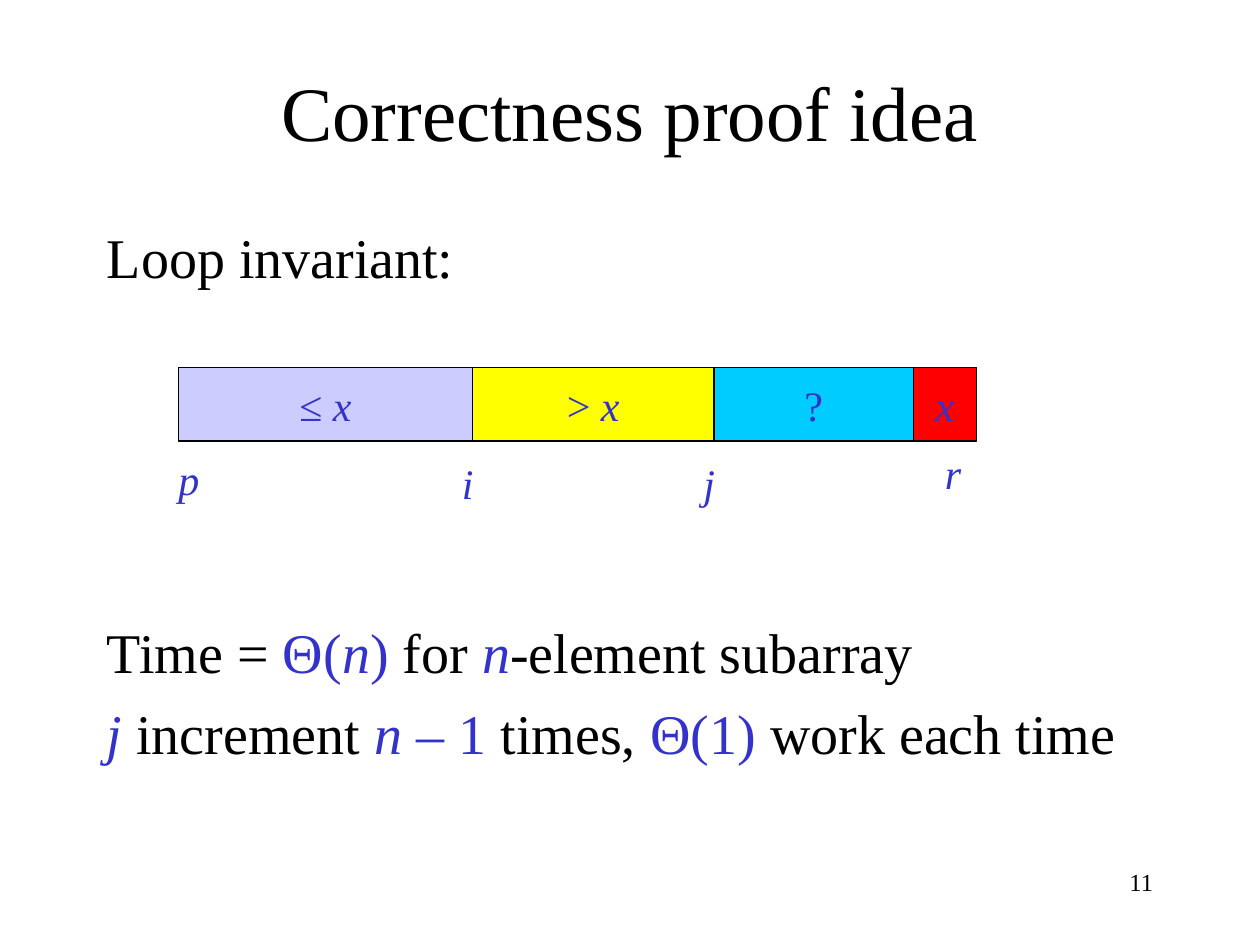
from dataclasses import dataclass

from pptx import Presentation
from pptx.dml.color import RGBColor
from pptx.enum.shapes import MSO_SHAPE
from pptx.enum.text import MSO_ANCHOR as Anchor, PP_ALIGN as Align
from pptx.util import Inches, Pt


@dataclass(frozen=True)
class Theme:
    font: str = "Times New Roman"
    ink: str = "000000"
    math: str = "3333CC"
    low: str = "CCCCFF"
    high: str = "FFFF00"
    unseen: str = "00CCFF"
    pivot: str = "FF0000"
    title_size: int = 44
    body_size: int = 32
    array_size: int = 24
    number_size: int = 14


# Span styles: plain text, upright mathematics, italic variable
PLAIN, MATH, VAR = "plain", "math", "var"


class SlideBuilder:
    """Places elements on a grid of 120 columns by 90 rows."""

    def __init__(self, deck, theme):
        self.theme = theme
        self.col = deck.slide_width / 120
        self.row = deck.slide_height / 90
        self.page = deck.slides.add_slide(deck.slide_layouts[5])

    def area(self, left, top, width, height):
        return (round(left * self.col), round(top * self.row),
                round(width * self.col), round(height * self.row))

    def add_spans(self, para, spans, size, align=Align.LEFT):
        para.alignment = align
        for text, style in spans:
            span = para.add_run()
            span.text = text
            font = span.font
            font.name, font.size = self.theme.font, Pt(size)
            font.italic = style == VAR
            color = self.theme.ink if style == PLAIN else self.theme.math
            font.color.rgb = RGBColor.from_string(color)

    def title(self, text, area):
        box = self.page.shapes.title
        box.left, box.top, box.width, box.height = self.area(*area)
        box.text_frame.vertical_anchor = Anchor.MIDDLE
        self.add_spans(box.text_frame.paragraphs[0], [(text, PLAIN)],
                       self.theme.title_size, Align.CENTER)

    def text(self, paragraphs, area, size, align=Align.LEFT, wrap=True, inset=0.05):
        """Each paragraph is a pair: points of space before, and spans."""
        box = self.page.shapes.add_textbox(*self.area(*area))
        frame = box.text_frame
        frame.word_wrap = wrap
        frame.margin_top = Inches(inset)
        for index, (space, spans) in enumerate(paragraphs):
            para = frame.add_paragraph() if index else frame.paragraphs[0]
            if index:
                para.space_before = Pt(space)
            self.add_spans(para, spans, size, align)

    def segment(self, spans, fill, area):
        box = self.page.shapes.add_shape(MSO_SHAPE.RECTANGLE, *self.area(*area))
        box.shadow.inherit = False
        box.fill.solid()
        box.fill.fore_color.rgb = RGBColor.from_string(fill)
        box.line.color.rgb = RGBColor.from_string(self.theme.ink)
        box.line.width = Pt(0.75)
        frame = box.text_frame
        frame.word_wrap = False
        frame.vertical_anchor = Anchor.MIDDLE
        self.add_spans(frame.paragraphs[0], spans, self.theme.array_size, Align.CENTER)

    def index_label(self, name, area):
        self.text([(0, [(name, VAR)])], area, self.theme.array_size, wrap=False)


def main():
    deck = Presentation()
    deck.slide_width, deck.slide_height = Inches(10), Inches(7.5)
    theme = Theme()
    slide = SlideBuilder(deck, theme)

    # Title and page number
    slide.title("Correctness proof idea", (9, 3, 102, 15))
    slide.text([(0, [("11", PLAIN)])], (86, 82, 25, 6),
               theme.number_size, Align.RIGHT)

    # Statements above and below the array
    slide.text([
        (0, [("Loop invariant:", PLAIN)]),
        (187, [("Time = ", PLAIN), ("Θ(", MATH), ("n", VAR), (")", MATH),
               (" for ", PLAIN), ("n", VAR), ("-element subarray", PLAIN)]),
        (8, [("j", VAR), (" increment ", PLAIN), ("n", VAR), (" – 1", MATH),
             (" times, ", PLAIN), ("Θ(1)", MATH), (" work each time", PLAIN)]),
    ], (9, 20, 102, 60), theme.body_size, inset=0.1)

    # Array segments, laid end to end
    left = 17
    for spans, fill, width in [
        ([("≤ ", MATH), ("x", VAR)], theme.low, 28),
        ([("> ", MATH), ("x", VAR)], theme.high, 23),
        ([("?", MATH)], theme.unseen, 19),
        ([("x", VAR)], theme.pivot, 6),
    ]:
        slide.segment(spans, fill, (left, 35, width, 7))
        left += width

    # Index names under the segment borders
    for name, left, top, width in [("p", 15.8, 42.6, 4.4), ("i", 42.8, 43, 3.5),
                                   ("j", 65.8, 43, 3.5), ("r", 88.8, 42, 4)]:
        slide.index_label(name, (left, top, width, 6))

    deck.save("out.pptx")


if __name__ == "__main__":
    main()
